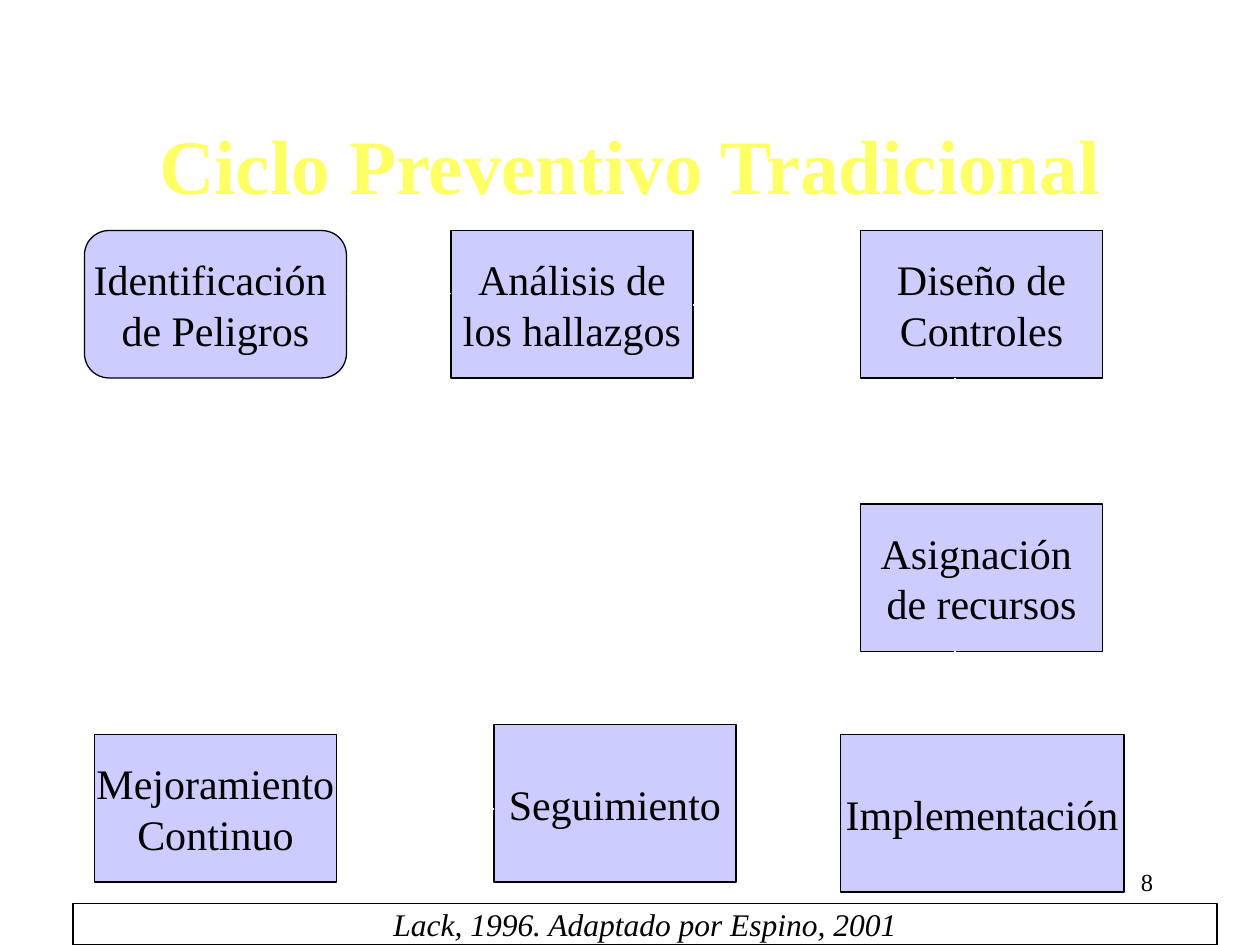
from lxml.etree import SubElement
from pptx import Presentation
from pptx.dml.color import RGBColor
from pptx.enum.shapes import MSO_CONNECTOR as Connector, MSO_SHAPE as Shape
from pptx.enum.text import MSO_ANCHOR as Anchor, PP_ALIGN as Align
from pptx.oxml.ns import qn
from pptx.util import Inches, Pt

FONT = "Times New Roman"
BLACK, WHITE, LILAC, YELLOW = "000000", "FFFFFF", "CCCCFF", "FFFF66"
PROCESS = Shape.FLOWCHART_PROCESS

STEPS = [
    (Shape.FLOWCHART_ALTERNATE_PROCESS, (0.67, 1.83, 2.08, 1.17), ["Identificación ", "de Peligros"]),
    (PROCESS, (3.58, 1.83, 1.92, 1.17), ["Análisis de", "los hallazgos"]),
    (PROCESS, (6.83, 1.83, 1.92, 1.17), ["Diseño de", "Controles"]),
    (PROCESS, (6.83, 4, 1.92, 1.17), ["Asignación ", "de recursos"]),
    (PROCESS, (6.67, 5.83, 2.25, 1.25), ["Implementación"]),
    (PROCESS, (3.92, 5.75, 1.92, 1.25), ["Seguimiento"]),
    (PROCESS, (0.75, 5.83, 1.92, 1.17), ["Mejoramiento", "Continuo"]),
]

ARROWS = [
    (2.75, 2.33, 3.58, 2.33),
    (5.5, 2.42, 6.58, 2.42),
    (7.58, 3, 7.58, 3.92),
    (7.58, 5.17, 7.58, 5.75),
    (6.67, 6.5, 5.92, 6.5),
    (3.92, 6.42, 2.75, 6.42),
    (1.5, 5.58, 1.5, 3.17),
]


def color(value):
    """Turn a hex string into a colour."""
    return RGBColor.from_string(value)


def write(shape, lines, align=Align.CENTER, anchor=Anchor.MIDDLE, wrap=False, ink=BLACK, **font_values):
    """Write one paragraph per line into a shape."""
    frame = shape.text_frame
    frame.text = "\n".join(lines)
    frame.vertical_anchor = anchor
    frame.word_wrap = wrap
    for paragraph in frame.paragraphs:
        paragraph.alignment = align
        for run in paragraph.runs:
            for name, value in {"name": FONT, **font_values}.items():
                setattr(run.font, name, value)
            run.font.color.rgb = color(ink)


def add_text(slide, box, text, **format_values):
    """Add a wrapping text box."""
    shape = slide.shapes.add_textbox(*map(Inches, box))
    write(shape, [text], wrap=True, **format_values)


def add_box(slide, kind, box, lines, fill, **format_values):
    """Add an outlined, filled shape with centred text."""
    shape = slide.shapes.add_shape(kind, *map(Inches, box))
    shape.shadow.inherit = False
    shape.fill.solid()
    shape.fill.fore_color.rgb = color(fill)
    shape.line.color.rgb = color(BLACK)
    shape.line.width = Pt(0.75)
    write(shape, lines, **format_values)


def add_arrow(slide, ends):
    """Add a white arrow between two points."""
    arrow = slide.shapes.add_connector(Connector.STRAIGHT, *map(Inches, ends))
    arrow.line.color.rgb = color(WHITE)
    arrow.line.width = Pt(0.75)
    SubElement(arrow.line._get_or_add_ln(), qn("a:tailEnd"), type="triangle")
    SubElement(arrow._element.spPr, qn("a:effectLst"))


def main():
    """Build the preventive cycle slide."""
    presentation = Presentation()
    presentation.slide_width = Inches(10)
    presentation.slide_height = Inches(7.5)
    slide = presentation.slides.add_slide(presentation.slide_layouts[6])
    add_text(slide, (0.75, 0.67, 8.5, 1.25), "Ciclo Preventivo Tradicional",
             ink=YELLOW, size=Pt(44), bold=True)
    for kind, box, lines in STEPS:
        add_box(slide, kind, box, lines, LILAC, size=Pt(24))
    for ends in ARROWS:
        add_arrow(slide, ends)
    add_box(slide, Shape.RECTANGLE, (0.58, 7.17, 9.08, 0.33),
            ["Lack, 1996. Adaptado por Espino, 2001"], WHITE, size=Pt(18), italic=True)
    add_text(slide, (7.17, 6.83, 2.08, 0.5), "8",
             align=Align.RIGHT, anchor=Anchor.TOP, size=Pt(14))
    presentation.save("out.pptx")


if __name__ == "__main__":
    main()
